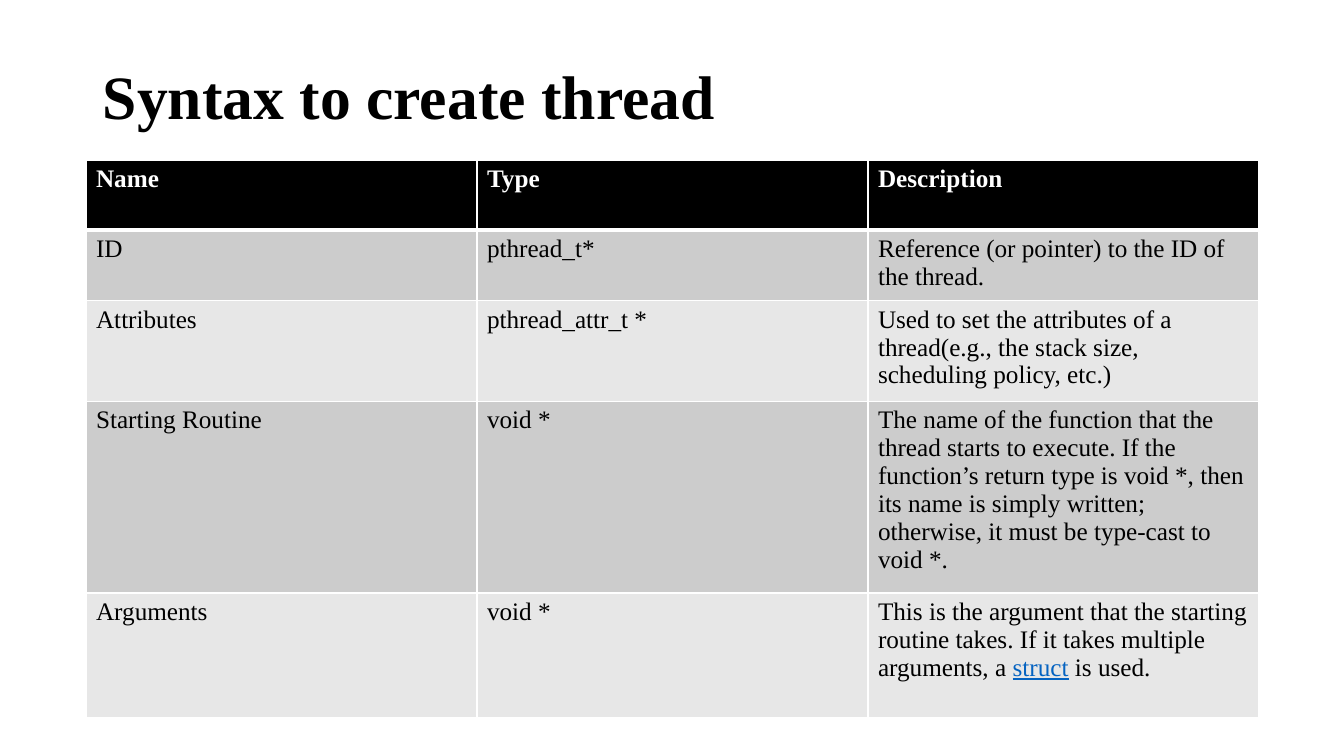
import pptx
import pptx.util
import pptx.dml.color
import pptx.enum.text
import pptx.oxml.ns
import lxml.etree

PX = 914400 / 100.8  # EMU per px
FONT = "Times New Roman"
COLORS = {
    "ink": "000000",
    "paper": "FFFFFF",
    "band_dark": "CCCCCC",
    "band_light": "E7E7E7",
    "link": "0563C1",
}
HEADER = ("Name", "Type", "Description")
PARAMETERS = [
    ("ID", "pthread_t*", "Reference (or pointer) to the ID of the thread."),
    ("Attributes", "pthread_attr_t *",
     "Used to set the attributes of a thread(e.g., the stack size, "
     "scheduling policy, etc.)"),
    ("Starting Routine", "void *",
     "The name of the function that the thread starts to execute. If the "
     "function’s return type is void *, then its name is simply written; "
     "otherwise, it must be type-cast to void *."),
    ("Arguments", "void *",
     ["This is the argument that the starting routine takes. If it takes "
      "multiple arguments, a ",
      ("struct", {"color": "link", "underline": True}),
      " is used."]),
]
ROW_HEIGHTS = (70, 67, 96, 182, 125)


def px(n):
    return pptx.util.Emu(round(n * PX))


def rgb(name):
    return pptx.dml.color.RGBColor.from_string(COLORS[name])


def add_run(p, text, size=18, color="ink", bold=False, underline=None):
    r = p.add_run()
    r.text = text
    r.font.name = FONT
    r.font.size = pptx.util.Pt(size)
    r.font.bold = bold
    r.font.underline = underline
    r.font.color.rgb = rgb(color)


def set_borders(cell, **widths):
    """Draw white borders; widths are in points, keyed by side."""
    tc_pr = cell._tc.get_or_add_tcPr()
    qn = pptx.oxml.ns.qn
    for side in "LRTB":
        width = pptx.util.Pt(widths.get(side, 1))
        ln = lxml.etree.SubElement(tc_pr, qn("a:ln" + side), w=str(width))
        fill = lxml.etree.SubElement(ln, qn("a:solidFill"))
        lxml.etree.SubElement(fill, qn("a:srgbClr"), val=COLORS["paper"])


def add_title(s, text, x, y, w, h):
    tf = s.shapes.add_textbox(px(x), px(y), px(w), px(h)).text_frame
    tf.word_wrap = True
    tf.vertical_anchor = pptx.enum.text.MSO_ANCHOR.MIDDLE
    p = tf.paragraphs[0]
    p.line_spacing = 0.9
    add_run(p, text, size=44, bold=True)


def add_parameter_table(s, x, y, w, h):
    rows = [HEADER] + PARAMETERS
    table = s.shapes.add_table(
        len(rows), len(HEADER), px(x), px(y), px(w), px(h)).table
    for column in table.columns:
        column.width = px(w / len(HEADER))

    for i, (row, height) in enumerate(zip(rows, ROW_HEIGHTS)):
        table.rows[i].height = px(height)
        is_header = i == 0
        band = "band_dark" if i % 2 else "band_light"
        for j, content in enumerate(row):
            cell = table.cell(i, j)
            # The rule between header and body is thicker
            set_borders(cell, T=3 if i == 1 else 1, B=3 if is_header else 1)
            cell.fill.solid()
            cell.fill.fore_color.rgb = rgb("ink" if is_header else band)

            # A cell holds plain text or a list of differently styled runs
            p = cell.text_frame.paragraphs[0]
            base = {"color": "paper" if is_header else "ink", "bold": is_header}
            for part in content if isinstance(content, list) else [content]:
                text, style = part if isinstance(part, tuple) else (part, {})
                add_run(p, text, **{**base, **style})


def main():
    prs = pptx.Presentation()
    prs.slide_width, prs.slide_height = px(1344), px(756)
    s = prs.slides.add_slide(prs.slide_layouts[6])
    add_title(s, "Syntax to create thread", 93, 40, 1159, 119)
    add_parameter_table(s, 86, 160, 1173, sum(ROW_HEIGHTS))
    prs.save("out.pptx")


if __name__ == "__main__":
    main()
